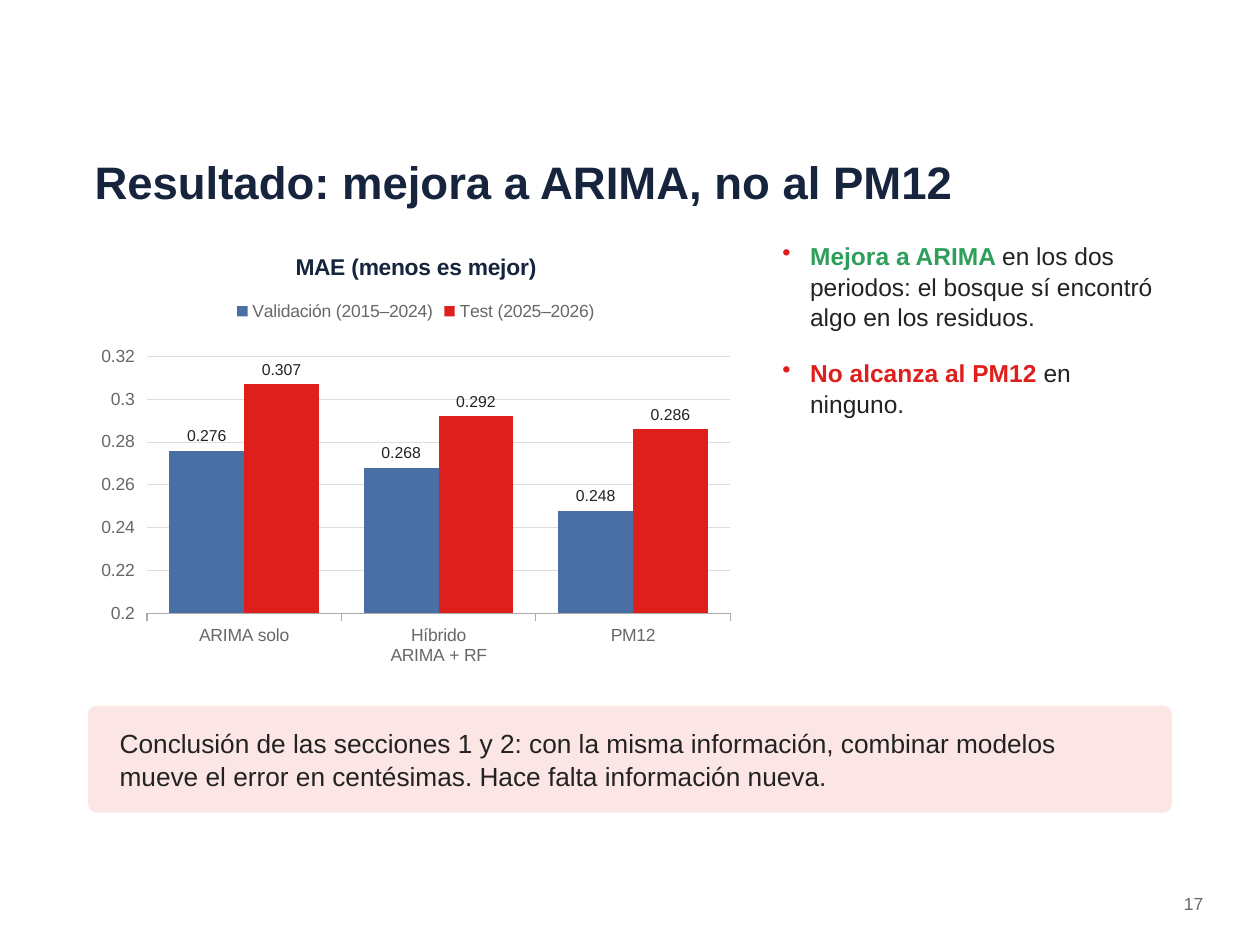
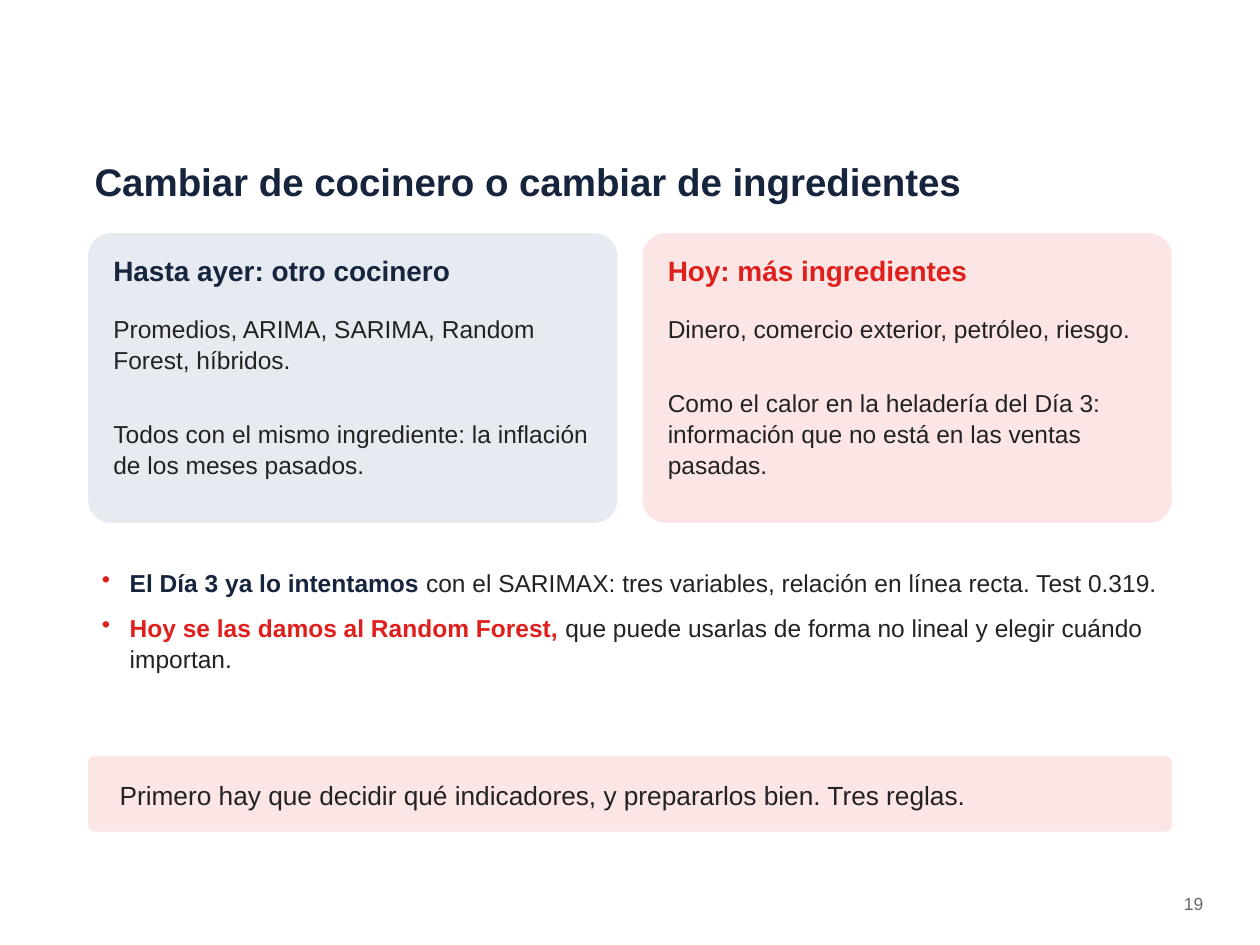
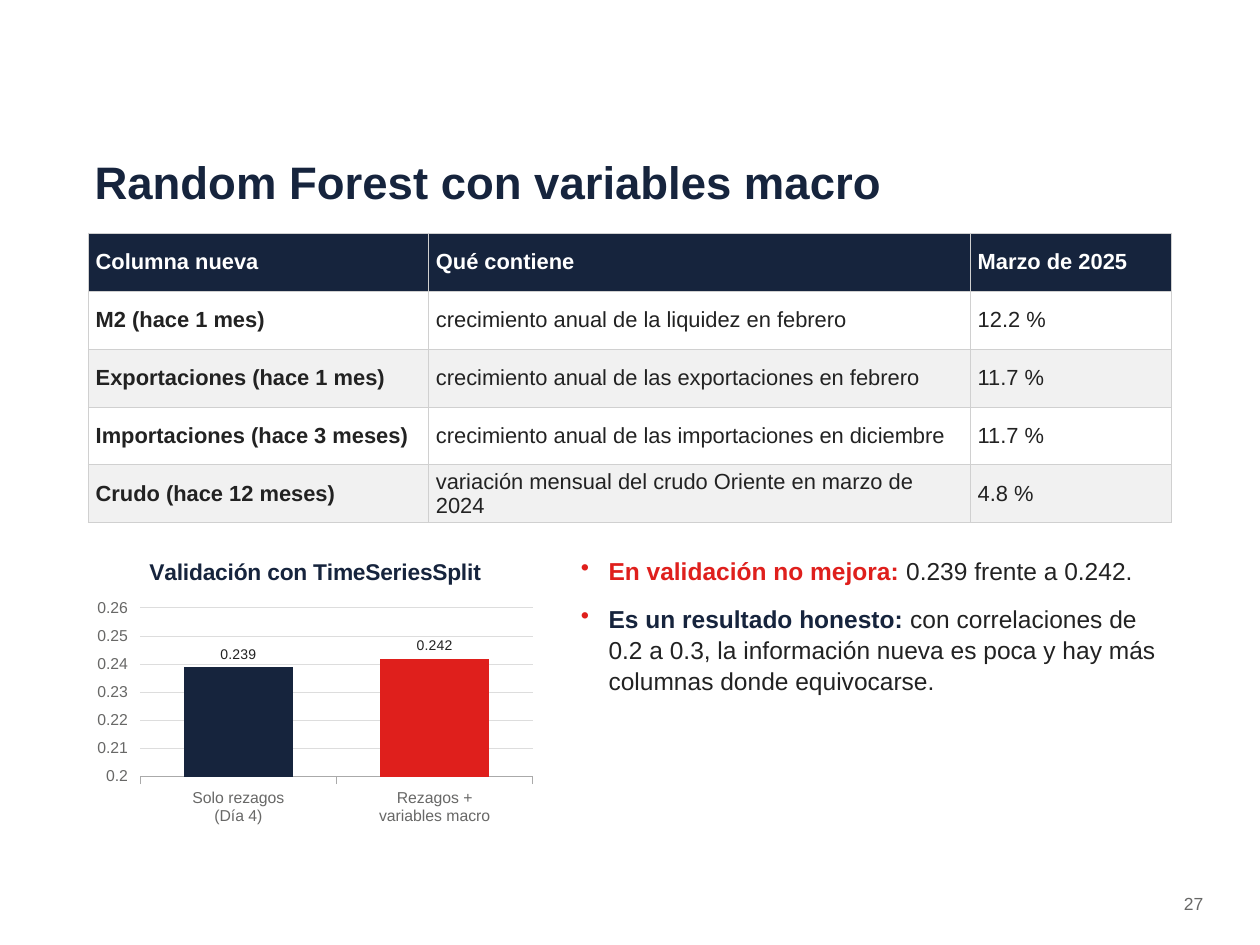
from pptx import Presentation
from pptx import util as u
from pptx.chart.data import CategoryChartData
from pptx.dml.color import RGBColor
from pptx.enum import chart as ch, shapes, text
from pptx.oxml import parse_xml
from pptx.oxml.ns import nsdecls

NAVY = RGBColor(0x16, 0x24, 0x3D)
RED = RGBColor(0xDF, 0x1F, 0x1C)
GREEN = RGBColor(0x2E, 0x9E, 0x5B)
BLUE = RGBColor(0x4A, 0x6F, 0xA5)
INK = RGBColor(0x22, 0x22, 0x22)
GRAY = RGBColor(0x68, 0x68, 0x67)
AXIS = RGBColor(0xAA, 0xAA, 0xAA)
GRID = RGBColor(0xDD, 0xDD, 0xDD)
PINK = RGBColor(0xFB, 0xE6, 0xE5)
PALE = RGBColor(0xE6, 0xEA, 0xF1)
WHITE = RGBColor(0xFF, 0xFF, 0xFF)
STRIPE = RGBColor(0xF1, 0xF1, 0xF1)
FONT = "Arial"
LEFT, WIDE, TOP = 0.7, 8.6, 1.85


def write(box, paras, size, after=4, mid=False, right=False, dots=False):
    frame = box.text_frame
    frame.word_wrap = True
    frame.auto_size = text.MSO_AUTO_SIZE.NONE
    frame.vertical_anchor = text.MSO_ANCHOR.MIDDLE if mid else text.MSO_ANCHOR.TOP
    frame.margin_left = frame.margin_right = u.Inches(0.05)
    frame.margin_top = frame.margin_bottom = u.Inches(0.05 if dots else 0.03)
    for i, parts in enumerate(paras):
        para = frame.add_paragraph() if i else frame.paragraphs[0]
        para.alignment = text.PP_ALIGN.RIGHT if right else text.PP_ALIGN.LEFT
        para.line_spacing = 1.05
        para.space_after = u.Pt(after)
        if dots:
            props = para._p.get_or_add_pPr()
            props.set("marL", str(u.Inches(0.28)))
            props.set("indent", str(u.Inches(-0.22)))
            props.append(parse_xml(f'<a:buClr {nsdecls("a")}><a:srgbClr val="{RED}"/></a:buClr>'))
            props.append(parse_xml(f'<a:buChar {nsdecls("a")} char="•"/>'))
        for words, tint, bold in parts:
            run = para.add_run()
            run.text = words
            run.font.name = FONT
            run.font.size = u.Pt(size)
            run.font.bold = bold
            run.font.color.rgb = tint


def plot(slide, place, title, cats, rows, size, top, step, gap):
    data = CategoryChartData()
    data.categories = cats
    for name, vals, tints in rows:
        data.add_series(name, vals)
    chart = slide.shapes.add_chart(
        ch.XL_CHART_TYPE.COLUMN_CLUSTERED, *map(u.Inches, place), data).chart
    chart.font.name = FONT
    chart.font.size = u.Pt(size)
    chart.font.color.rgb = GRAY
    chart.has_title = True
    chart.chart_title.text_frame.text = title
    head = chart.chart_title.text_frame.paragraphs[0].runs[0].font
    head.name, head.size, head.bold = FONT, u.Pt(13), True
    head.color.rgb = NAVY
    chart.has_legend = len(rows) > 1
    if chart.has_legend:
        chart.legend.position = ch.XL_LEGEND_POSITION.TOP
        chart.legend.include_in_layout = False
    low = chart.category_axis
    low.tick_label_position = ch.XL_TICK_LABEL_POSITION.LOW
    low.format.line.color.rgb = AXIS
    low.format.line.width = u.Pt(0.75)
    side = chart.value_axis
    side.minimum_scale, side.maximum_scale, side.major_unit = 0.2, top, step
    side.format.line.fill.background()
    side.major_gridlines.format.line.color.rgb = GRID
    side.major_gridlines.format.line.width = u.Pt(0.5)
    bars = chart.plots[0]
    bars.gap_width, bars.overlap = gap, 0
    bars.vary_by_categories = False
    for line, (name, vals, tints) in zip(bars.series, rows):
        line.format.fill.solid()
        line.format.fill.fore_color.rgb = tints[0]
        for i, tint in enumerate(tints[1:], 1):
            fill = line.points[i].format.fill
            fill.solid()
            fill.fore_color.rgb = tint
        tags = line.data_labels
        tags.show_value = True
        tags.position = ch.XL_LABEL_POSITION.OUTSIDE_END
        tags.number_format, tags.number_format_is_linked = "0.000", False
        tags.font.name, tags.font.size = FONT, u.Pt(size - 1)
        tags.font.color.rgb = INK


deck = Presentation()
deck.slide_width, deck.slide_height = u.Inches(10), u.Inches(7.5)

slides = []
for title, size, page in [
    ("Resultado: mejora a ARIMA, no al PM12", 26, "17"),
    ("Cambiar de cocinero o cambiar de ingredientes", 22, "19"),
    ("Random Forest con variables macro", 26, "27"),
]:
    slide = deck.slides.add_slide(deck.slide_layouts[5])
    head = slide.shapes.title
    head.left, head.top, head.width, head.height = map(u.Inches, (LEFT, 1.05, WIDE, 0.75))
    write(head, [[(title, NAVY, True)]], size, mid=True)
    foot = slide.shapes.add_textbox(*map(u.Inches, (9, 7.05, 0.6, 0.3)))
    write(foot, [[(page, GRAY, False)]], 10, right=True)
    slides.append(slide)
result, cook, macro = slides

plot(result, (LEFT, TOP, 5.2, 3.5), "MAE (menos es mejor)",
     ["ARIMA solo", "Híbrido\nARIMA + RF", "PM12"],
     [("Validación (2015–2024)", (0.276, 0.268, 0.248), [BLUE]),
      ("Test (2025–2026)", (0.307, 0.292, 0.286), [RED])],
     10, 0.33, 0.02, 60)
plot(macro, (LEFT, 4.3, 3.6, 2.3), "Validación con TimeSeriesSplit",
     ["Solo rezagos\n(Día 4)", "Rezagos +\nvariables macro"],
     [("Series 1", (0.239, 0.242), [NAVY, RED])],
     9, 0.26, 0.01, 80)

for slide, place, after, paras in [
    (result, (6.1, TOP, 3.2, 3), 14, [
        ("Mejora a ARIMA ", GREEN,
         "en los dos periodos: el bosque sí encontró algo en los residuos."),
        ("No alcanza al PM12 ", RED, "en ninguno.")]),
    (cook, (LEFT, 4.45, WIDE, 1.3), 8, [
        ("El Día 3 ya lo intentamos ", NAVY,
         "con el SARIMAX: tres variables, relación en línea recta. Test 0.319."),
        ("Hoy se las damos al Random Forest, ", RED,
         "que puede usarlas de forma no lineal y elegir cuándo importan.")]),
    (macro, (4.5, 4.35, 4.8, 2.2), 10, [
        ("En validación no mejora: ", RED, "0.239 frente a 0.242."),
        ("Es un resultado honesto: ", NAVY,
         "con correlaciones de 0.2 a 0.3, la información nueva es poca "
         "y hay más columnas donde equivocarse.")]),
]:
    box = slide.shapes.add_textbox(*map(u.Inches, place))
    parts = [[(lead, tint, True), (rest, INK, False)] for lead, tint, rest in paras]
    write(box, parts, 14, after, dots=True)

cards = [
    (LEFT, PALE, NAVY, "Hasta ayer: otro cocinero",
     ["Promedios, ARIMA, SARIMA, Random Forest, híbridos.",
      "Todos con el mismo ingrediente: la inflación de los meses pasados."]),
    (5.1, PINK, RED, "Hoy: más ingredientes",
     ["Dinero, comercio exterior, petróleo, riesgo.",
      "Como el calor en la heladería del Día 3: información que no está en las ventas pasadas."]),
]
bands = [
    (result, 5.6, 0.85, "Conclusión de las secciones 1 y 2: con la misma información, "
     "combinar modelos mueve el error en centésimas. Hace falta información nueva."),
    (cook, 6, 0.6, "Primero hay que decidir qué indicadores, y prepararlos bien. Tres reglas."),
]
panels = [(cook, (left, TOP, 4.2, 2.3), fill) for left, fill, *rest in cards]
panels += [(slide, (LEFT, top, WIDE, high), PINK) for slide, top, high, words in bands]
for slide, place, fill in panels:
    panel = slide.shapes.add_shape(
        shapes.MSO_SHAPE.ROUNDED_RECTANGLE, *map(u.Inches, place))
    panel.adjustments[0] = 0.08
    panel.shadow.inherit = False
    panel.fill.solid()
    panel.fill.fore_color.rgb = fill
    panel.line.fill.background()

for left, fill, tint, name, lines in cards:
    box = cook.shapes.add_textbox(*map(u.Inches, (left + 0.15, 1.97, 3.9, 0.45)))
    write(box, [[(name, tint, True)]], 16)
    box = cook.shapes.add_textbox(*map(u.Inches, (left + 0.15, 2.45, 3.9, 1.6)))
    write(box, [[(line, INK, False)] for line in lines], 14, after=25)

for slide, top, high, words in bands:
    box = slide.shapes.add_textbox(*map(u.Inches, (LEFT + 0.2, top, WIDE - 0.4, high)))
    write(box, [[(words, INK, False)]], 15, mid=True)

rows = [
    ("Columna nueva", "Qué contiene", "Marzo de 2025"),
    ("M2 (hace 1 mes)", "crecimiento anual de la liquidez en febrero", "12.2 %"),
    ("Exportaciones (hace 1 mes)", "crecimiento anual de las exportaciones en febrero", "11.7 %"),
    ("Importaciones (hace 3 meses)", "crecimiento anual de las importaciones en diciembre", "11.7 %"),
    ("Crudo (hace 12 meses)", "variación mensual del crudo Oriente en marzo de 2024", "4.8 %"),
]
table = macro.shapes.add_table(
    len(rows), 3, *map(u.Inches, (LEFT, TOP, WIDE, 2.3))).table
for col, width in zip(table.columns, (2.7, 4.3, 1.6)):
    col.width = u.Inches(width)
for r, row in enumerate(rows):
    for c, words in enumerate(row):
        cell = table.cell(r, c)
        for edge in "LRTB":
            cell._tc.get_or_add_tcPr().append(parse_xml(
                f'<a:ln{edge} {nsdecls("a")} w="{u.Pt(0.5)}"><a:solidFill>'
                f'<a:srgbClr val="D0D0D0"/></a:solidFill></a:ln{edge}>'))
        cell.fill.solid()
        cell.fill.fore_color.rgb = NAVY if r == 0 else WHITE if r % 2 else STRIPE
        cell.vertical_anchor = text.MSO_ANCHOR.MIDDLE
        cell.margin_left = cell.margin_right = u.Inches(0.06)
        cell.margin_top = cell.margin_bottom = u.Inches(0.03)
        cell.text_frame.text = words
        font = cell.text_frame.paragraphs[0].runs[0].font
        font.name, font.size = FONT, u.Pt(12.5)
        font.bold = r == 0 or c == 0
        font.color.rgb = INK if r else WHITE

deck.save("out.pptx")
